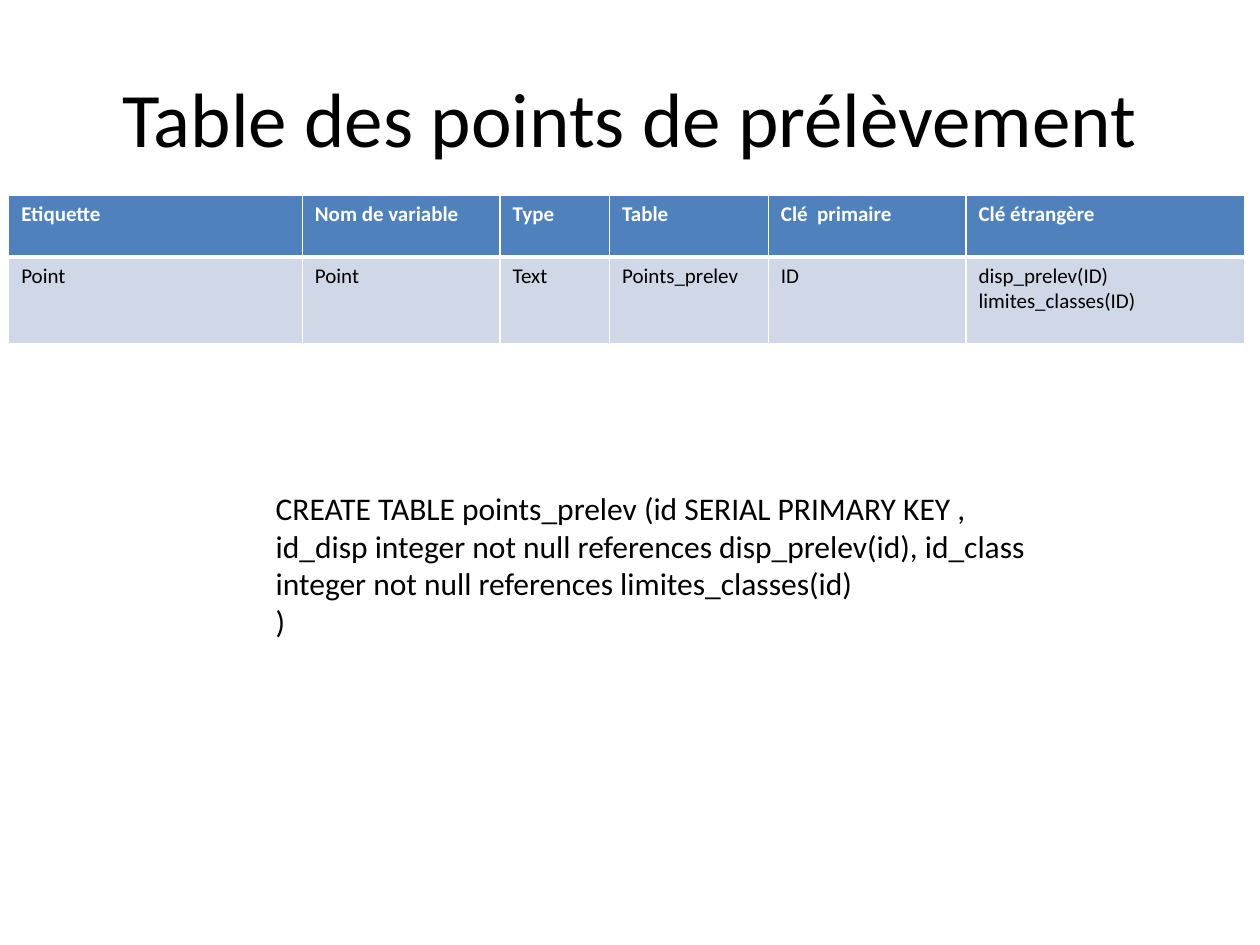
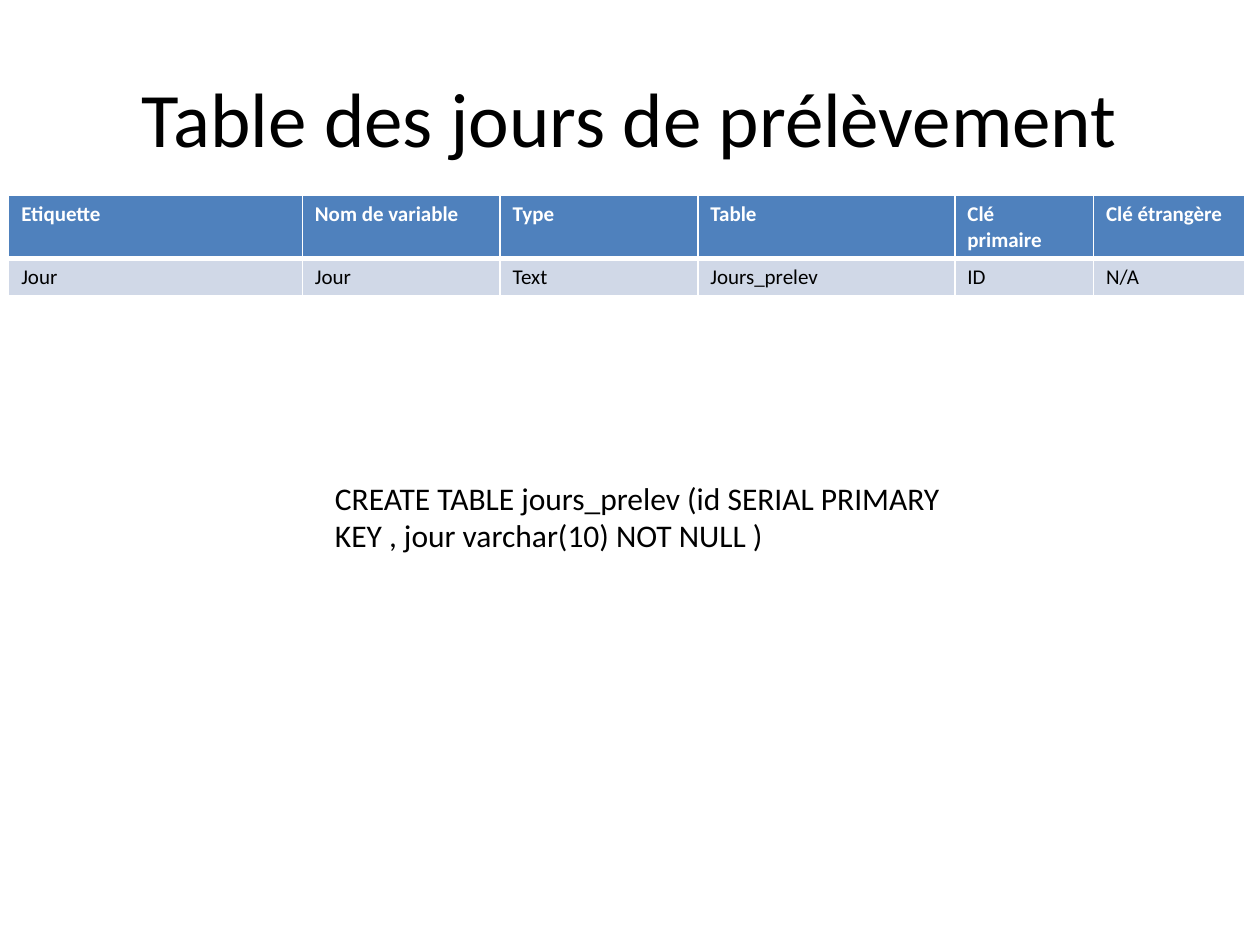
from lxml import etree
from pptx import Presentation
from pptx.dml.color import RGBColor
from pptx.enum import text
from pptx.oxml import ns
from pptx.util import Pt

FONT = "Calibri"
WHITE, BLACK = "FFFFFF", "000000"
HEADER_BLUE, ROW_BLUE = "4F81BD", "D0D8E7"
THIN, THICK = 0.96, 3

TITLE = {"size": Pt(44), "bold": False, "name": FONT}
CODE = {"size": Pt(18), "bold": False, "name": FONT}
HEADER = {"size": Pt(12), "bold": True, "name": FONT}
BODY = {"size": Pt(12), "bold": False, "name": FONT}

TABLE_LEFT, TABLE_TOP = 5, 111.6
HEADER_HEIGHT = 35.3


def color(value):
    return RGBColor.from_string(value)


def write(frame, content, style, font_color, alignment=text.PP_ALIGN.LEFT):
    """Fill a text frame, one paragraph for each line of the content."""
    frame.text = content
    for paragraph in frame.paragraphs:
        paragraph.alignment = alignment
        for run in paragraph.runs:
            for name, value in style.items():
                setattr(run.font, name, value)
            run.font.color.rgb = color(font_color)


def add_text(slide, box, content, style, **options):
    shape = slide.shapes.add_textbox(*(Pt(length) for length in box))
    shape.text_frame.word_wrap = True
    write(shape.text_frame, content, style, BLACK, **options)
    return shape


def add_title(slide, content):
    shape = add_text(slide, (36, 21.6, 648, 90), content, TITLE,
                     alignment=text.PP_ALIGN.CENTER)
    shape.text_frame.vertical_anchor = text.MSO_ANCHOR.MIDDLE


def set_borders(cell, widths):
    """Draw white borders; widths maps an edge (L, R, T, B) to points."""
    properties = cell._tc.get_or_add_tcPr()
    for edge, width in widths.items():
        line = etree.SubElement(properties, ns.qn(f"a:ln{edge}"), w=str(Pt(width)))
        fill = etree.SubElement(line, ns.qn("a:solidFill"))
        etree.SubElement(fill, ns.qn("a:srgbClr"), val=WHITE)


def add_variable_table(slide, widths, body_height, rows):
    heights = (HEADER_HEIGHT, body_height)
    frame = slide.shapes.add_table(
        len(rows), len(widths), Pt(TABLE_LEFT), Pt(TABLE_TOP),
        Pt(sum(widths)), Pt(sum(heights)))
    table = frame.table
    for column, width in zip(table.columns, widths):
        column.width = Pt(width)

    # The header and the body row share a thick edge
    looks = ((HEADER, WHITE, HEADER_BLUE, {"T": THIN, "B": THICK}),
             (BODY, BLACK, ROW_BLUE, {"T": THICK, "B": THIN}))
    for row, height, contents, look in zip(table.rows, heights, rows, looks):
        style, font_color, fill_color, edges = look
        row.height = Pt(height)
        for cell, content in zip(row.cells, contents):
            write(cell.text_frame, content, style, font_color)
            set_borders(cell, {"L": THIN, "R": THIN, **edges})
            cell.fill.solid()
            cell.fill.fore_color.rgb = color(fill_color)


def header_row(primary_key):
    return ("Etiquette", "Nom de variable", "Type", "Table",
            primary_key, "Clé étrangère")


def add_table_slide(presentation, title, widths, body_height, rows, box, code):
    slide = presentation.slides.add_slide(presentation.slide_layouts[6])
    add_title(slide, title)
    add_variable_table(slide, widths, body_height, rows)
    add_text(slide, box, code, CODE)


def main():
    presentation = Presentation()
    presentation.slide_width, presentation.slide_height = Pt(720), Pt(540)

    # Sampling points
    add_table_slide(
        presentation, "Table des points de prélèvement",
        widths=(167.8, 113, 62.6, 90.7, 113, 159.1), body_height=49.7,
        rows=(header_row("Clé  primaire"),
              ("Point", "Point", "Text", "Points_prelev", "ID",
               "disp_prelev(ID)\nlimites_classes(ID)")),
        box=(150.5, 275.8, 465, 115.2),
        code="CREATE TABLE points_prelev (id SERIAL PRIMARY KEY , "
             "id_disp integer not null references disp_prelev(id), "
             "id_class integer not null references limites_classes(id)\n)")

    # Sampling days
    add_table_slide(
        presentation, "Table des jours de prélèvement",
        widths=(167.8, 113, 113, 146.9, 79.2, 86.4), body_height=21.6,
        rows=(header_row("Clé \nprimaire"),
              ("Jour", "Jour", "Text", "Jours_prelev", "ID", "N/A")),
        box=(184.3, 270, 368.6, 72),
        code="CREATE TABLE jours_prelev (id SERIAL PRIMARY KEY , "
             "jour varchar(10) NOT NULL )")

    presentation.save("out.pptx")


main()
